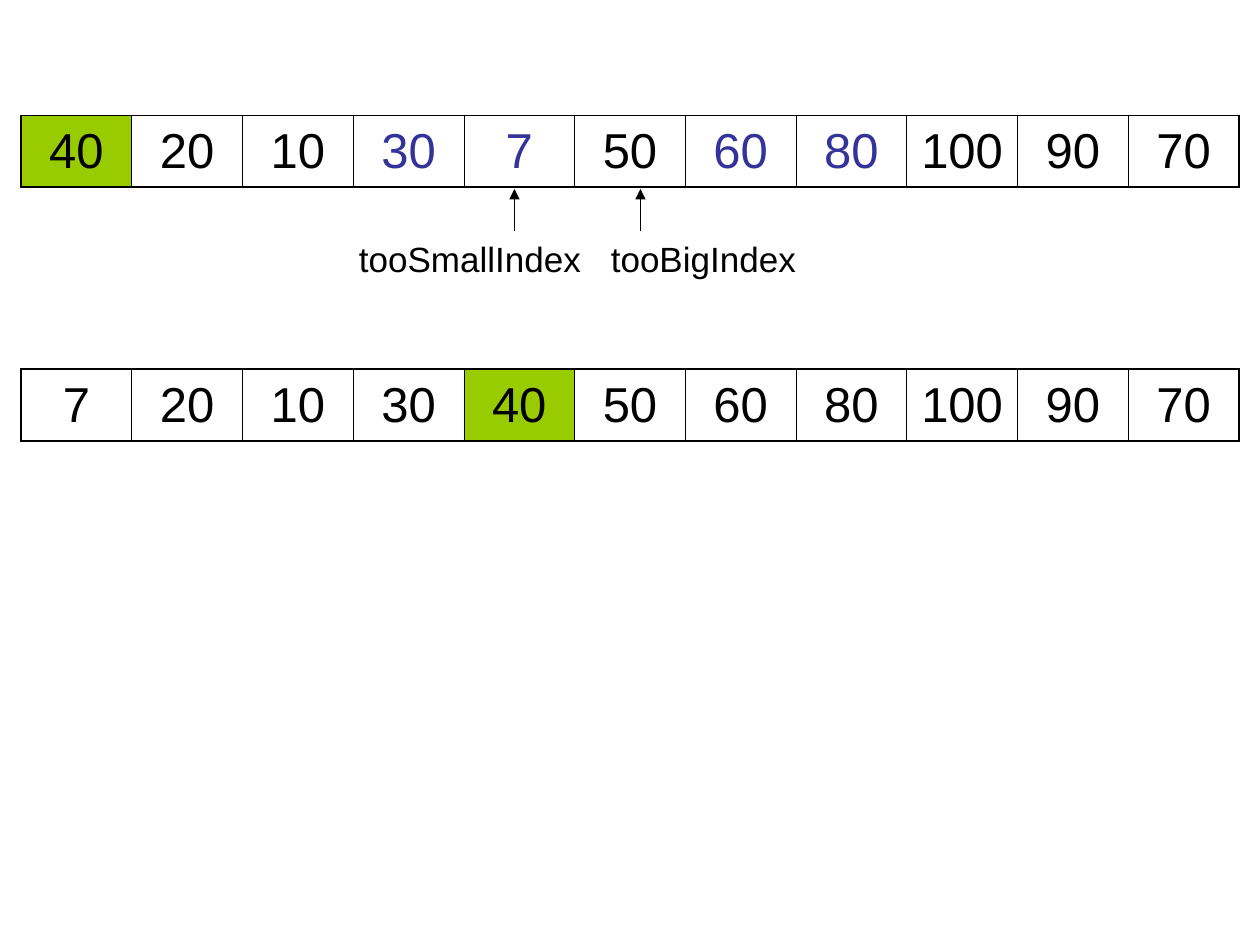
from lxml.etree import SubElement
from pptx import Presentation
from pptx.dml.color import RGBColor
from pptx.enum.shapes import MSO_CONNECTOR
from pptx.enum.text import MSO_ANCHOR, MSO_AUTO_SIZE, PP_ALIGN
from pptx.oxml.ns import qn
from pptx.util import Inches, Pt

BLACK = RGBColor(0x00, 0x00, 0x00)
BLUE = RGBColor(0x33, 0x33, 0x99)
GREEN = RGBColor(0x99, 0xCC, 0x00)
UNIT = Inches(1) / 12
THIN, THICK = Pt(0.45), Pt(1.08)


def grid(*steps):
    """Turn grid steps of a twelfth of an inch into lengths."""
    return [round(step * UNIT) for step in steps]


def style(para, size, color, before):
    """Format a paragraph and its run."""
    para.space_before = Pt(before)
    font = para.runs[0].font
    font.name, font.size, font.color.rgb = "Arial", Pt(size), color


def add_edge(cell, side, width):
    """Draw one black border of a cell."""
    edge = SubElement(cell._tc.get_or_add_tcPr(), qn(f"a:ln{side}"), w=str(width))
    fill = SubElement(edge, qn("a:solidFill"))
    SubElement(fill, qn("a:srgbClr"), val=str(BLACK))


def add_array(slide, top, values, pivot, swapped=()):
    """Add a row of numbers with a green pivot and blue swapped values."""
    count = len(values)
    frame = slide.shapes.add_table(1, count, *grid(2, top, 116, 6.84))
    table = frame.table
    table.first_row = table.horz_banding = False
    for col, value in enumerate(values):
        table.columns[col].width = round(116 * UNIT / count)
        cell = table.cell(0, col)
        cell.text_frame.text = str(value)
        cell.vertical_anchor = MSO_ANCHOR.MIDDLE
        para = cell.text_frame.paragraphs[0]
        para.alignment = PP_ALIGN.CENTER
        style(para, 28, BLUE if col in swapped else BLACK, 7)
        add_edge(cell, "L", THICK if col == 0 else THIN)
        add_edge(cell, "R", THICK if col == count - 1 else THIN)
        add_edge(cell, "T", THICK)
        add_edge(cell, "B", THICK)
        if col == pivot:
            cell.fill.solid()
            cell.fill.fore_color.rgb = GREEN
        else:
            cell.fill.background()


def add_label(slide, text, left, width):
    """Add the name of an index below the array."""
    frame = slide.shapes.add_textbox(*grid(left, 22, width, 5.25)).text_frame
    frame.word_wrap = True
    frame.auto_size = MSO_AUTO_SIZE.SHAPE_TO_FIT_TEXT
    frame.text = text
    style(frame.paragraphs[0], 20, BLACK, 12.5)


def add_arrow(slide, col):
    """Add an upward arrow from a label to the array."""
    arrow = slide.shapes.add_connector(
        MSO_CONNECTOR.STRAIGHT, *grid(col, 22, col, 18))
    arrow.line.color.rgb = BLACK
    arrow.line.width = Pt(0.75)
    SubElement(arrow.line._get_or_add_ln(), qn("a:tailEnd"), type="triangle")
    SubElement(arrow._element.spPr, qn("a:effectLst"))


def main():
    """Build the slide with the array before and after the pivot swap."""
    deck = Presentation()
    deck.slide_width, deck.slide_height = grid(120, 90)
    slide = deck.slides.add_slide(deck.slide_layouts[6])
    before = [40, 20, 10, 30, 7, 50, 60, 80, 100, 90, 70]
    after = before.copy()
    after[0], after[4] = before[4], before[0]
    add_array(slide, 11, before, 0, (3, 4, 6, 7))
    for text, left, width, col in (("tooBigIndex", 57, 24, 61),
                                   ("tooSmallIndex", 33, 28, 49)):
        add_label(slide, text, left, width)
        add_arrow(slide, col)
    add_array(slide, 35.16, after, 4)
    deck.save("out.pptx")


if __name__ == "__main__":
    main()
